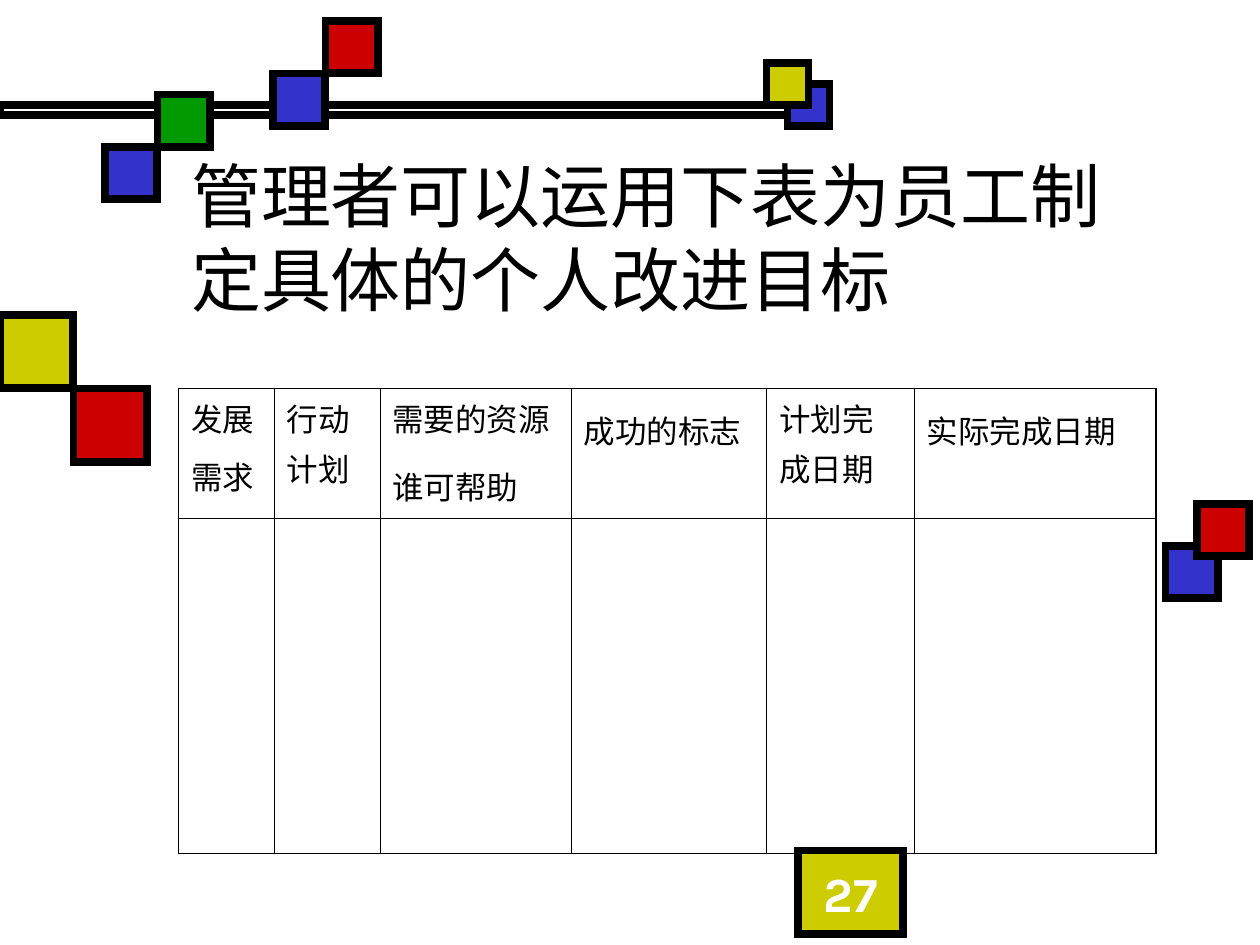
from dataclasses import dataclass

from lxml import etree
from pptx import Presentation
from pptx.dml.color import RGBColor
from pptx.enum.shapes import MSO_SHAPE
from pptx.enum.text import MSO_ANCHOR, MSO_AUTO_SIZE, PP_ALIGN
from pptx.oxml.ns import qn
from pptx.util import Cm, Pt

RECTANGLE = MSO_SHAPE.RECTANGLE
MIDDLE = MSO_ANCHOR.MIDDLE
NO_AUTOFIT = MSO_AUTO_SIZE.NONE
LEFT, CENTER, JUSTIFY = PP_ALIGN.LEFT, PP_ALIGN.CENTER, PP_ALIGN.JUSTIFY
GRID = Cm(2.54) / 12


@dataclass(frozen=True)
class Theme:
    """Colours, fonts and sizes of the slide."""

    black: str = "000000"
    white: str = "FFFFFF"
    blue: str = "3333CC"
    yellow: str = "CCCC00"
    red: str = "CC0000"
    green: str = "009900"
    latin: str = "Karla"
    cjk: str = "Noto Sans CJK SC"
    serif: str = "Times New Roman"
    title_size: float = 40
    number_size: float = 28
    header_size: float = 18
    frame: float = 4.5
    outer_rule: float = 1.08
    inner_rule: float = 0.45


THEME = Theme()

BAR = (0, 10, 77, 1)
TITLE_BOX = (17, 16, 93, 13)
TABLE_BOX = (17, 37, 93, 44.3)
NUMBER_BOX = (76, 81, 10, 8)

CLUSTERS = [
    ((73, 6), 4, [(2, 2, THEME.blue), (0, 0, THEME.yellow)]),
    ((111, 48), 5, [(0, 4, THEME.blue), (3, 0, THEME.red)]),
    ((0, 30), 7, [(0, 0, THEME.yellow), (7, 7, THEME.red)]),
    ((10, 2), 5, [(16, 5, THEME.blue), (0, 12, THEME.blue),
                  (5, 7, THEME.green), (21, 0, THEME.red)]),
]

TITLE = "管理者可以运用下表为员工制定具体的个人改进目标"
COLUMN_WIDTHS = [1.93, 2.13, 3.86, 3.94, 2.97, 4.88]
HEADER_HEIGHT = 2.62
HEADERS = [
    (["发展需求"], 24),
    (["行动计划"], 20),
    (["需要的资源", "谁可帮助"], 24),
    (["成功的标志"], 24),
    (["计划完成日期"], 20),
    (["实际完成日期"], 24),
]


def grid(box):
    """Convert grid steps to lengths."""
    return [round(step * GRID) for step in box]


def apply(target, formats):
    """Set each attribute of the target from a dict."""
    for attribute, value in formats.items():
        setattr(target, attribute, value)


def add_run(paragraph, text, size, latin, cjk, color=THEME.black, bold=False):
    """Add a run with its Latin and East Asian fonts."""
    run = paragraph.add_run()
    run.text = text
    apply(run.font, {"size": Pt(size), "name": latin, "bold": bold})
    run.font.color.rgb = RGBColor.from_string(color)
    east_asian = etree.Element(qn("a:ea"), typeface=cjk)
    run.font._element.find(qn("a:latin")).addnext(east_asian)


def add_block(slide, box, color=None):
    """Draw a rectangle with a heavy black frame."""
    block = slide.shapes.add_shape(RECTANGLE, *grid(box))
    block.shadow.inherit = False
    if color:
        block.fill.solid()
        block.fill.fore_color.rgb = RGBColor.from_string(color)
    else:
        block.fill.background()
    block.line.color.rgb = RGBColor.from_string(THEME.black)
    block.line.width = Pt(THEME.frame)
    outline = block._element.spPr.find(qn("a:ln"))
    etree.SubElement(outline, qn("a:miter"), lim="800000")
    return block


def add_cluster(slide, origin, side, squares):
    """Place coloured squares relative to the cluster's corner."""
    left, top = origin
    for dx, dy, color in squares:
        add_block(slide, (left + dx, top + dy, side, side), color)


def add_title(slide, box):
    """Fill the title placeholder."""
    title = slide.shapes.title
    apply(title, dict(zip(("left", "top", "width", "height"), grid(box))))
    apply(title.text_frame, {"word_wrap": True, "auto_size": NO_AUTOFIT,
                             "vertical_anchor": MIDDLE})
    paragraph = title.text_frame.paragraphs[0]
    paragraph.alignment = LEFT
    add_run(paragraph, TITLE, THEME.title_size, THEME.latin, THEME.latin)


def set_borders(cell, widths):
    """Give a cell its left, right, top and bottom rules."""
    properties = cell._tc.get_or_add_tcPr()
    for index, (edge, width) in enumerate(zip("LRTB", widths)):
        rule = etree.Element(qn(f"a:ln{edge}"), w=str(Pt(width)))
        fill = etree.SubElement(rule, qn("a:solidFill"))
        etree.SubElement(fill, qn("a:srgbClr"), val=THEME.black)
        properties.insert(index, rule)


def fill_header(cell, lines, end_size):
    """Write a column heading, closed by a larger space."""
    for index, line in enumerate(lines):
        last = index == len(lines) - 1
        frame = cell.text_frame
        paragraph = frame.add_paragraph() if index else frame.paragraphs[0]
        paragraph.alignment = LEFT if last else JUSTIFY
        if index:
            paragraph.space_before = Pt(6)
        add_run(paragraph, line, THEME.header_size,
                THEME.cjk if last else THEME.serif, THEME.cjk)
        if last:
            add_run(paragraph, " ", end_size, THEME.latin, THEME.cjk)


def add_plan_table(slide, box):
    """Draw the improvement plan with headings and an empty row."""
    left, top, width, height = grid(box)
    last_column = len(HEADERS) - 1
    plan = slide.shapes.add_table(2, len(HEADERS), left, top, width, height).table
    apply(plan, {"first_row": False, "horz_banding": False})
    for column, column_width in zip(plan.columns, COLUMN_WIDTHS):
        column.width = Cm(column_width)
    plan.rows[0].height = Cm(HEADER_HEIGHT)
    plan.rows[1].height = height - Cm(HEADER_HEIGHT)
    for row in range(2):
        for column, (lines, end_size) in enumerate(HEADERS):
            cell = plan.cell(row, column)
            cell.fill.background()
            outer = (column == 0, column == last_column, row == 0, row == 1)
            set_borders(cell, [THEME.outer_rule if edge else THEME.inner_rule
                               for edge in outer])
            if row == 0:
                fill_header(cell, lines, end_size)


def add_page_number(slide, box):
    """Draw the page number block."""
    number = add_block(slide, box, THEME.yellow)
    apply(number.text_frame, {"word_wrap": True, "vertical_anchor": MIDDLE})
    paragraph = number.text_frame.paragraphs[0]
    paragraph.alignment = CENTER
    add_run(paragraph, "27", THEME.number_size, THEME.latin, THEME.latin,
            THEME.white, True)


def main():
    """Build and save the slide."""
    deck = Presentation()
    apply(deck, {"slide_width": Cm(25.4), "slide_height": Cm(19.05)})
    slide = deck.slides.add_slide(deck.slide_layouts[5])
    add_block(slide, BAR)
    for cluster in CLUSTERS:
        add_cluster(slide, *cluster)
    add_title(slide, TITLE_BOX)
    add_plan_table(slide, TABLE_BOX)
    add_page_number(slide, NUMBER_BOX)
    deck.save("out.pptx")


if __name__ == "__main__":
    main()
